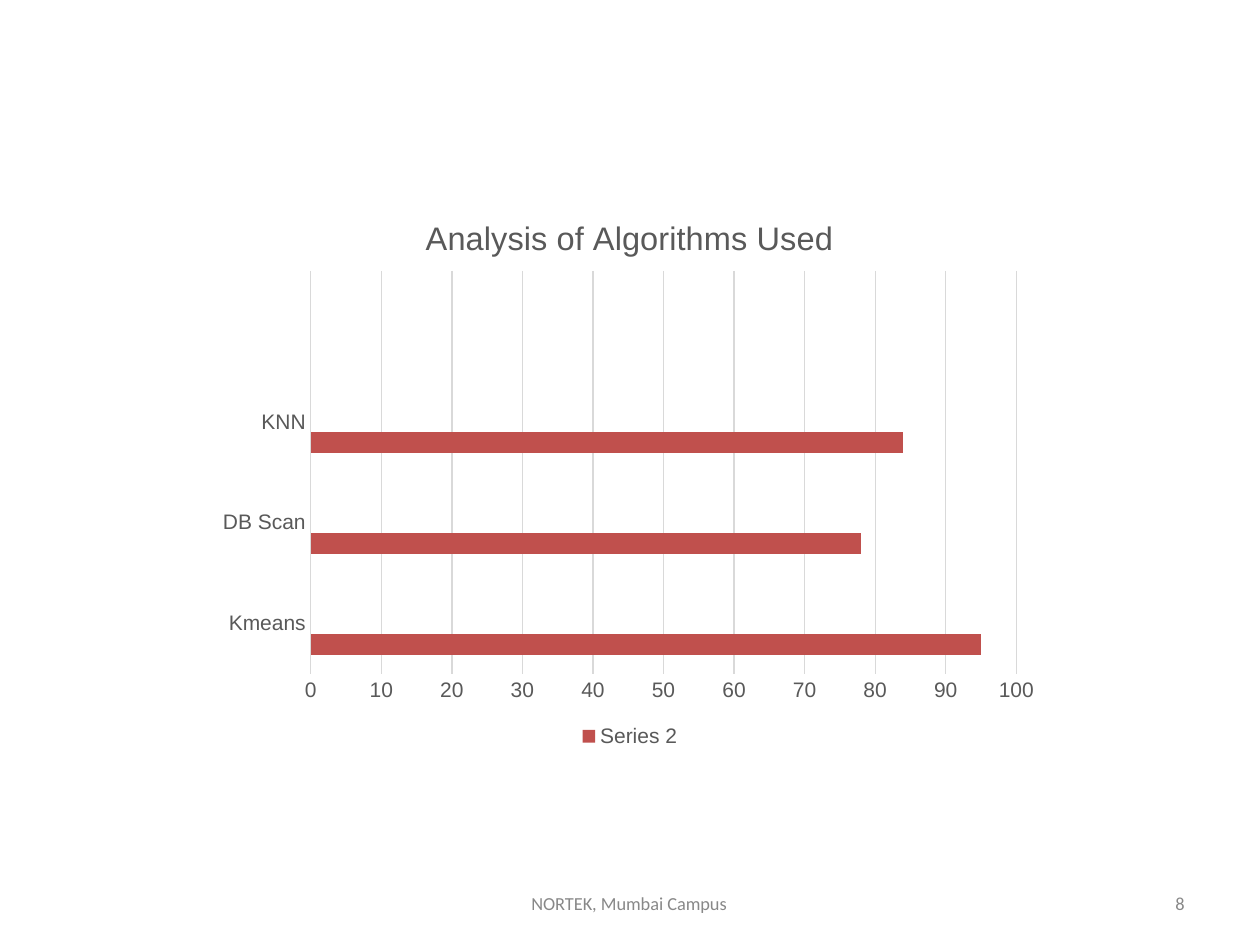
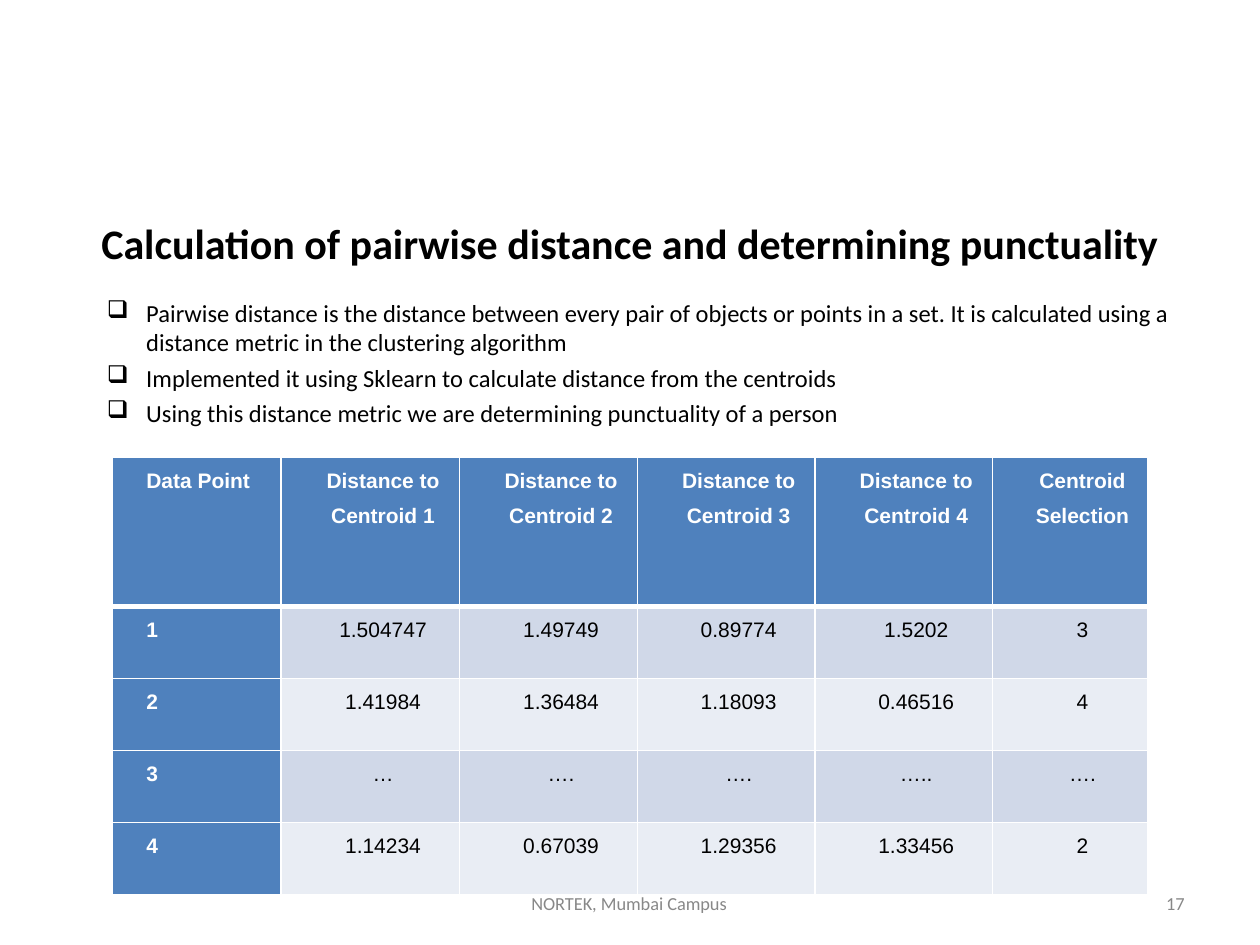
import pptx
import pptx.chart.data
import pptx.dml.color
import pptx.enum.chart
import pptx.enum.text
import pptx.oxml
import pptx.oxml.ns
import pptx.util

Pt = pptx.util.Pt
Align = pptx.enum.text.PP_ALIGN
Anchor = pptx.enum.text.MSO_ANCHOR

COLORS = {
    "text": "000000",
    "white": "FFFFFF",
    "footer": "888888",
    "label": "595959",
    "grid": "D9D9D9",
    "bar": "C0504D",
    "spare": "9BBB59",
    "header": "4F81BD",
    "band_dark": "D0D8E8",
    "band_light": "E9EDF4",
}
BODY_FONT = "Calibri"
DATA_FONT = "Arial"

FOOTER = "NORTEK, Mumbai Campus"

CHART_TITLE = "Analysis of Algorithms Used"
ALGORITHMS = ["Kmeans", "DB Scan", "KNN", ""]
SERIES = [
    ("Series 1", [95, 78, 84, None], "bar"),
    ("Series 2", [None] * 4, "bar"),
    ("", [None] * 4, "spare"),
]
HIDDEN_LEGEND_ENTRIES = [0, 2]

DISTANCE_TITLE = "Calculation of pairwise distance and determining punctuality"
DISTANCE_POINTS = [
    "Pairwise distance is the distance between every pair of objects or points in a set. "
    "It is calculated using a distance metric in the clustering algorithm",
    "Implemented it using Sklearn to calculate distance from the centroids",
    "Using this distance metric we are determining punctuality of a person",
]
DISTANCE_ROWS = [
    ["Data Point"] + [f"Distance to Centroid {number}" for number in range(1, 5)] + ["Centroid Selection"],
    ["1", "1.504747", "1.49749", "0.89774", "1.5202", "3"],
    ["2", "1.41984", "1.36484", "1.18093", "0.46516", "4"],
    ["3", "…", "….", "….", "…..", "…."],
    ["4", "1.14234", "0.67039", "1.29356", "1.33456", "2"],
]
COLUMN_WIDTHS = [96.5, 102, 101.5, 101.5, 101.5, 88.5]
ROW_HEIGHTS = [85] + [41.2] * 4


def rgb(name):
    return pptx.dml.color.RGBColor.from_string(COLORS[name])


def xml(tag, attributes="", inner=""):
    namespaces = pptx.oxml.ns.nsdecls("a", "c")
    return pptx.oxml.parse_xml(f"<{tag} {namespaces} {attributes}>{inner}</{tag}>")


def style_font(font, face, size, color, bold=False):
    font.name = face
    font.size = Pt(size)
    font.bold = bold
    font.color.rgb = rgb(color)


def add_text(page, place, texts, size, color="text", bold=False, align=Align.LEFT, anchor=Anchor.MIDDLE):
    box = page.shapes.add_textbox(*map(Pt, place))
    frame = box.text_frame
    frame.word_wrap = True
    frame.vertical_anchor = anchor
    for index, text in enumerate(texts):
        para = frame.paragraphs[0] if index == 0 else frame.add_paragraph()
        para.alignment = align
        span = para.add_run()
        span.text = text
        style_font(span.font, BODY_FONT, size, color, bold)
    return box


def add_bullets(box):
    for para in box.text_frame.paragraphs:
        para.space_before = Pt(3.6)
        properties = para._p.get_or_add_pPr()
        properties.set("marL", str(Pt(40.5)))
        properties.set("indent", str(Pt(-22.5)))
        properties.append(xml("a:buClr", inner=f'<a:srgbClr val="{COLORS["text"]}"/>'))
        properties.append(xml("a:buChar", 'char="❑"'))


def add_page(deck, number):
    page = deck.slides.add_slide(deck.slide_layouts[6])
    add_text(page, (245.5, 502, 228, 28.8), [FOOTER], 10.5, "footer", align=Align.CENTER)
    add_text(page, (516, 502, 168, 28.8), [str(number)], 10.5, "footer", align=Align.RIGHT)
    return page


def style_axis(axis):
    axis.major_tick_mark = pptx.enum.chart.XL_TICK_MARK.NONE
    style_font(axis.tick_labels.font, DATA_FONT, 12, "label")


def style_line(line):
    line.color.rgb = rgb("grid")
    line.width = Pt(0.75)


def add_algorithm_chart(page):
    data = pptx.chart.data.CategoryChartData()
    data.categories = ALGORITHMS
    for name, values, _ in SERIES:
        data.add_series(name, values)
    kind = pptx.enum.chart.XL_CHART_TYPE.BAR_CLUSTERED
    chart = page.shapes.add_chart(kind, Pt(120), Pt(110), Pt(480), Pt(320), data).chart
    style_font(chart.font, DATA_FONT, 10, "text")

    chart.has_title = True
    span = chart.chart_title.text_frame.paragraphs[0].add_run()
    span.text = CHART_TITLE
    style_font(span.font, DATA_FONT, 18.6, "label")

    plot = chart.plots[0]
    plot.gap_width = 182
    plot.overlap = 0
    plot.vary_by_categories = False
    for series, (_, _, color) in zip(plot.series, SERIES):
        series.format.fill.solid()
        series.format.fill.fore_color.rgb = rgb(color)

    style_axis(chart.category_axis)
    style_line(chart.category_axis.format.line)
    scale = chart.value_axis
    style_axis(scale)
    scale.minimum_scale, scale.maximum_scale, scale.major_unit = 0, 100, 10
    scale.tick_labels.number_format = "General"
    scale.tick_labels.number_format_is_linked = False
    scale.format.line.fill.background()
    style_line(scale.major_gridlines.format.line)

    chart.has_legend = True
    legend = chart.legend
    legend.position = pptx.enum.chart.XL_LEGEND_POSITION.BOTTOM
    legend.include_in_layout = False
    style_font(legend.font, DATA_FONT, 12, "label")
    position = legend._element.find(pptx.oxml.ns.qn("c:legendPos"))
    for index in reversed(HIDDEN_LEGEND_ENTRIES):
        position.addnext(xml("c:legendEntry", inner=f'<c:idx val="{index}"/><c:delete val="1"/>'))

    area = chart._chartSpace.chart.plotArea
    for old in area.findall(pptx.oxml.ns.qn("c:layout")):
        area.remove(old)
    settings = [("layoutTarget", "inner"), ("xMode", "edge"), ("yMode", "edge"),
                ("x", 0.12), ("y", 0.14), ("w", 0.84), ("h", 0.72)]
    inner = "".join(f'<c:{name} val="{value}"/>' for name, value in settings)
    area.insert(0, xml("c:layout", inner=f"<c:manualLayout>{inner}</c:manualLayout>"))


def fill_cell(cell, text, row, column):
    heading = row == 0 or column == 0
    widths = {"L": 1, "R": 1, "T": 3 if row == 1 else 1, "B": 3 if row == 0 else 1}
    properties = cell._tc.get_or_add_tcPr()
    for side, width in widths.items():
        color = f'<a:solidFill><a:srgbClr val="{COLORS["white"]}"/></a:solidFill>'
        properties.append(xml(f"a:ln{side}", f'w="{Pt(width)}"', color))
    cell.fill.solid()
    cell.fill.fore_color.rgb = rgb("header" if heading else "band_dark" if row % 2 else "band_light")
    cell.margin_left = cell.margin_right = Pt(5)
    cell.margin_top = cell.margin_bottom = 0
    para = cell.text_frame.paragraphs[0]
    para.alignment = Align.LEFT if column == 0 else Align.CENTER
    para.line_spacing = 1.5
    para._p.get_or_add_pPr().set("marL", str(Pt(14.4)))
    span = para.add_run()
    span.text = text
    style_font(span.font, DATA_FONT, 12, "white" if heading else "text", heading)


def add_distance_table(page):
    size = Pt(sum(COLUMN_WIDTHS)), Pt(sum(ROW_HEIGHTS))
    table = page.shapes.add_table(len(ROW_HEIGHTS), len(COLUMN_WIDTHS), Pt(64.2), Pt(261.5), *size).table
    for column, width in zip(table.columns, COLUMN_WIDTHS):
        column.width = Pt(width)
    for row, height in zip(table.rows, ROW_HEIGHTS):
        row.height = Pt(height)
    for row, texts in enumerate(DISTANCE_ROWS):
        for column, text in enumerate(texts):
            fill_cell(table.cell(row, column), text, row, column)


def main():
    deck = pptx.Presentation()
    deck.slide_width, deck.slide_height = Pt(720), Pt(540)

    add_algorithm_chart(add_page(deck, 8))

    page = add_page(deck, 17)
    add_text(page, (36, 102.5, 648, 72), [DISTANCE_TITLE], 24, bold=True, align=Align.CENTER)
    add_bullets(add_text(page, (36, 166.5, 648, 320), DISTANCE_POINTS, 14, anchor=Anchor.TOP))
    add_distance_table(page)

    deck.save("out.pptx")


if __name__ == "__main__":
    main()
